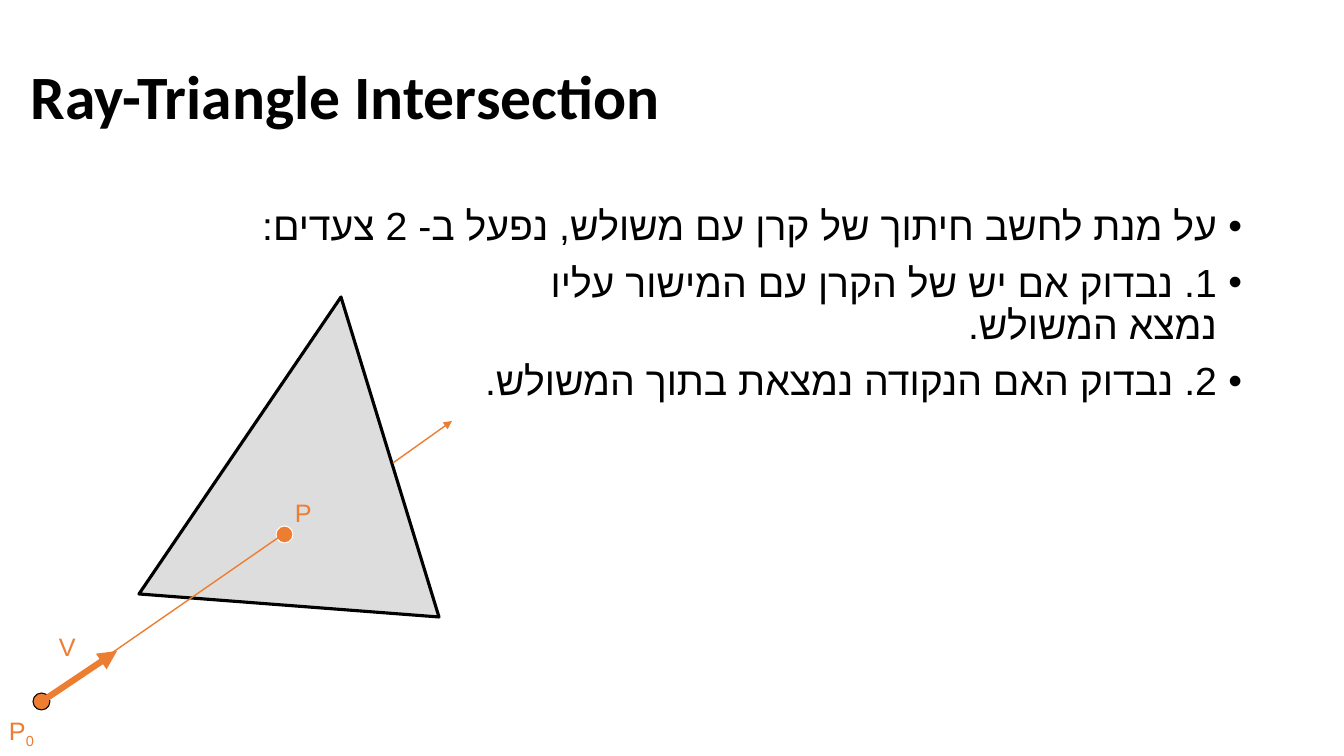
from dataclasses import dataclass

from lxml import etree
from pptx import Presentation
from pptx.dml.color import RGBColor
from pptx.enum.shapes import MSO_CONNECTOR, MSO_SHAPE
from pptx.enum.text import MSO_ANCHOR, MSO_AUTO_SIZE, PP_ALIGN
from pptx.oxml.ns import qn
from pptx.util import Pt

OVAL = MSO_SHAPE.OVAL
STRAIGHT = MSO_CONNECTOR.STRAIGHT
MIDDLE, TOP = MSO_ANCHOR.MIDDLE, MSO_ANCHOR.TOP
GROW, FIXED = MSO_AUTO_SIZE.SHAPE_TO_FIT_TEXT, MSO_AUTO_SIZE.NONE
RIGHT = PP_ALIGN.RIGHT

WIDTH, HEIGHT = 1344, 756
SCALE = 12192000 / WIDTH  # EMU in one px


@dataclass(frozen=True)
class Theme:
    ink: str = "000000"
    paper: str = "FFFFFF"
    face: str = "DDDDDD"
    ray: str = "ED7D31"
    main: str = "Calibri"
    sans: str = "Arial"
    title: int = 44
    body: int = 28
    label: int = 18
    dot: int = 17  # px


def emu(*px):
    return [round(n * SCALE) for n in px]


class Board:
    def __init__(self, slide, theme):
        self.shapes = slide.shapes
        self.theme = theme

    def style(self, shape, fill, line, width):
        shape.shadow.inherit = False
        shape.fill.solid()
        shape.fill.fore_color.rgb = RGBColor.from_string(fill)
        shape.line.color.rgb = RGBColor.from_string(line)
        shape.line.width = Pt(width)

    def box(self, x, y, w, h, anchor=TOP, wrap=True, size=FIXED):
        frame = self.shapes.add_textbox(*emu(x, y, w, h)).text_frame
        frame.word_wrap = wrap
        frame.auto_size = size
        frame.vertical_anchor = anchor
        return frame

    def run(self, para, text, size, color, face, bold=False):
        run = para.add_run()
        run.text = text
        font = run.font
        font.size, font.name, font.bold = Pt(size), face, bold
        font.color.rgb = RGBColor.from_string(color)
        return run

    def title(self, text, *at):
        para = self.box(*at, anchor=MIDDLE).paragraphs[0]
        para.line_spacing = 0.9
        self.run(para, text, self.theme.title, self.theme.ink, self.theme.main, True)

    def bullets(self, items, *at):
        frame = self.box(*at)
        for i, lines in enumerate(items):
            para = frame.add_paragraph() if i else frame.paragraphs[0]
            para.alignment = RIGHT
            para.line_spacing = 0.9
            para.space_before = Pt(10)
            # Right-to-left hanging bullet
            props = para._p.get_or_add_pPr()
            for key, value in (("marL", "228600"), ("indent", "-228600"), ("rtl", "1")):
                props.set(key, value)
            etree.SubElement(props, qn("a:buFont")).set("typeface", self.theme.sans)
            etree.SubElement(props, qn("a:buChar")).set("char", "•")
            for j, line in enumerate(lines):
                if j:
                    para.add_line_break()
                run = self.run(para, line, self.theme.body, self.theme.ink, self.theme.main)
                mark = run._r.get_or_add_rPr()
                mark.set("lang", "he-IL")
                etree.SubElement(mark, qn("a:cs")).set("typeface", self.theme.sans)

    def label(self, text, sub, *at):
        para = self.box(*at, wrap=False, size=GROW).paragraphs[0]
        look = self.theme.label, self.theme.ray, self.theme.sans
        self.run(para, text, *look)
        if sub:
            low = self.run(para, sub, *look)
            low._r.get_or_add_rPr().set("baseline", "-25000")

    def face(self, first, *rest):
        path = self.shapes.build_freeform(*first, scale=SCALE)
        path.add_line_segments(rest, close=True)
        self.style(path.convert_to_shape(), self.theme.face, self.theme.ink, 2.25)

    def dot(self, x, y, line):
        size = self.theme.dot
        shape = self.shapes.add_shape(OVAL, *emu(x, y, size, size))
        self.style(shape, self.theme.ray, line, 0.75)

    def ray(self, start, end, width, arrow=True):
        link = self.shapes.add_connector(STRAIGHT, *emu(*start, *end))
        link.line.color.rgb = RGBColor.from_string(self.theme.ray)
        link.line.width = Pt(width)
        if arrow:
            etree.SubElement(link.line._ln, qn("a:tailEnd")).set("type", "triangle")
        etree.SubElement(link._element.spPr, qn("a:effectLst"))


def main():
    deck = Presentation()
    deck.slide_width, deck.slide_height = emu(WIDTH, HEIGHT)
    theme = Theme()
    board = Board(deck.slides.add_slide(deck.slide_layouts[6]), theme)

    # Text
    board.bullets([
        ["על מנת לחשב חיתוך של קרן עם משולש, נפעל ב- 2 צעדים:"],
        ["1. נבדוק אם יש של הקרן עם המישור עליו ", "נמצא המשולש."],
        ["2. נבדוק האם הנקודה נמצאת בתוך המשולש."],
    ], 93, 202, 1159, 520)
    board.title("Ray-Triangle Intersection", 21, 24, 907, 151)

    # Triangle and ray, from back to front
    origin, hit = (41, 702), (285, 533)
    board.face((341, 297), (439, 617), (139, 594))
    board.dot(33, 693, theme.ink)
    board.ray((393, 463), (452, 421), 1)
    board.dot(276, 526, theme.paper)
    board.ray(origin, hit, 1, arrow=False)
    board.ray(origin, (117, 651), 4.5)

    # Labels
    board.label("P", "", 285, 492, 37, 40)
    board.label("P", "0", -1, 710, 46, 40)
    board.label("V", "", 49, 626, 37, 40)

    deck.save("out.pptx")


if __name__ == "__main__":
    main()
